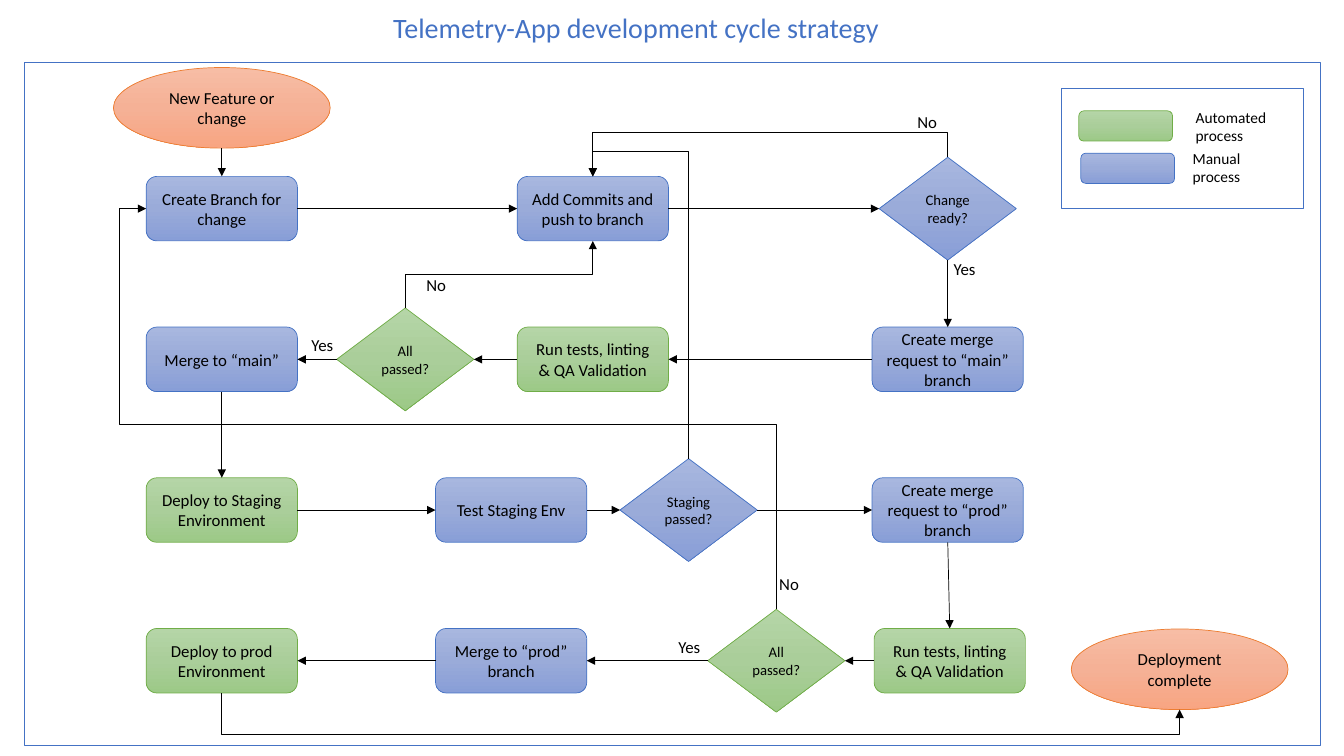
from copy import deepcopy
from dataclasses import dataclass

from lxml.etree import SubElement
from pptx import Presentation
from pptx.dml.color import RGBColor
from pptx.enum.shapes import MSO_CONNECTOR as LINK, MSO_SHAPE as SHAPE
from pptx.enum.text import MSO_ANCHOR as ANCHOR, MSO_AUTO_SIZE as AUTO, PP_ALIGN as ALIGN
from pptx.oxml.ns import qn
from pptx.util import Inches, Pt


@dataclass(frozen=True)
class Theme:
    """Font, colours and type sizes of the slide."""
    font: str = "Calibri"
    ink: str = "000000"
    accent: str = "4472C4"
    title: float = 20
    body: float = 12
    legend: float = 11
    decision: float = 10.5
    hairline: float = 0.5
    border: float = 0.75


THEME = Theme()
# Gradient from top to bottom, then outline
PALETTES = {
    "manual": (("A8B7DF", "9AABD9", "889ED7"), "4472C4"),
    "auto": (("B5D5A7", "AACE9A", "9CC987"), "70AD47"),
    "end": (("F7BDA5", "F5B196", "F8A582"), "ED7D31"),
}
# Kind: preset, width, height, type size
KINDS = {
    "step": (SHAPE.FLOWCHART_ALTERNATE_PROCESS, 1.5, 0.64, THEME.body),
    "decision": (SHAPE.DIAMOND, 1.36, 1.02, THEME.decision),
    "terminal": (SHAPE.OVAL, 2.15, 0.8, THEME.body),
}
SIDES = {"top": 0, "left": 1, "bottom": 2, "right": 3}

TITLE = "Telemetry-App development cycle strategy"
ROW_1, ROW_2, ROW_3, ROW_4 = (2.07 + 1.495 * row for row in range(4))
FIRST, MIDDLE, LAST, STAGING = 2.2, 5.88, 9.4, 5.07

# Key: text, kind, palette, centre x, centre y
NODES = {
    "new": ("New Feature or change", "terminal", "end", FIRST, 1.07),
    "branch": ("Create Branch for change", "step", "manual", FIRST, ROW_1),
    "commit": ("Add Commits and push to branch", "step", "manual", MIDDLE, ROW_1),
    "ready": ("Change ready?", "decision", "manual", LAST, ROW_1),
    "request_main": ("Create merge request to “main” branch", "step", "manual", LAST, ROW_2),
    "test_main": ("Run tests, linting & QA Validation", "step", "auto", MIDDLE, ROW_2),
    "passed_main": ("All passed?", "decision", "auto", 4.02, ROW_2),
    "merge_main": ("Merge to “main”", "step", "manual", FIRST, ROW_2),
    "deploy_staging": ("Deploy to Staging Environment", "step", "auto", FIRST, ROW_3),
    "test_staging": ("Test Staging Env", "step", "manual", STAGING, ROW_3),
    "passed_staging": ("Staging passed?", "decision", "manual", 6.83, ROW_3),
    "request_prod": ("Create merge request to “prod” branch", "step", "manual", LAST, ROW_3),
    "test_prod": ("Run tests, linting & QA Validation", "step", "auto", 9.42, ROW_4),
    "passed_prod": ("All passed?", "decision", "auto", 7.7, ROW_4),
    "merge_prod": ("Merge to “prod” branch", "step", "manual", STAGING, ROW_4),
    "deploy_prod": ("Deploy to prod Environment", "step", "auto", FIRST, ROW_4),
    "done": ("Deployment complete", "terminal", "end", 11.7, 6.64),
}
STRAIGHT_LINKS = [
    ("new", "bottom", "branch", "top"),
    ("branch", "right", "commit", "left"),
    ("commit", "right", "ready", "left"),
    ("ready", "bottom", "request_main", "top"),
    ("request_main", "left", "test_main", "right"),
    ("test_main", "left", "passed_main", "right"),
    ("passed_main", "left", "merge_main", "right"),
    ("merge_main", "bottom", "deploy_staging", "top"),
    ("deploy_staging", "right", "test_staging", "left"),
    ("test_staging", "right", "passed_staging", "left"),
    ("passed_staging", "right", "request_prod", "left"),
    ("request_prod", "bottom", "test_prod", "top"),
    ("test_prod", "left", "passed_prod", "right"),
    ("passed_prod", "left", "merge_prod", "right"),
    ("merge_prod", "left", "deploy_prod", "right"),
]
# The last item lists the lane y and, for a second turn, the lane x
BENT_LINKS = [
    ("ready", "top", "commit", "top", (1.31,)),
    ("passed_main", "top", "commit", "bottom", (2.72,)),
    ("passed_staging", "top", "commit", "top", (1.5,)),
    ("passed_prod", "top", "branch", "left", (4.21, 1.19)),
    ("deploy_prod", "bottom", "done", "bottom", (7.29,)),
]
ANSWERS = [
    ("No", 9.0, 1.06), ("Yes", 9.36, 2.52), ("No", 4.13, 2.68),
    ("Yes", 2.99, 3.27), ("No", 7.63, 5.64), ("Yes", 6.63, 6.27),
]
# Palette, swatch left and top, text, text left and top
LEGEND = [
    ("auto", 10.7, 1.1, "Automated process", 11.76, 1.02),
    ("manual", 10.72, 1.52, "Manual process", 11.73, 1.43),
]


def write(shape, text, size, color=THEME.ink, align=ALIGN.LEFT, anchor=ANCHOR.TOP):
    """Put one formatted paragraph in a shape."""
    frame = shape.text_frame
    frame.text, frame.word_wrap = text, True
    frame.auto_size, frame.vertical_anchor = AUTO.NONE, anchor
    paragraph = frame.paragraphs[0]
    paragraph.alignment = align
    font = paragraph.font
    font.name, font.size = THEME.font, Pt(size)
    font.color.rgb = RGBColor.from_string(color)


def add_label(shapes, text, box, size):
    """Add a left-aligned text box."""
    write(shapes.add_textbox(*map(Inches, box)), text, size)


def add_outline(shapes, box):
    """Add an unfilled frame."""
    outline = shapes.add_shape(SHAPE.RECTANGLE, *map(Inches, box))
    outline.shadow.inherit = False
    outline.fill.background()
    outline.line.color.rgb = RGBColor.from_string(THEME.accent)
    outline.line.width = Pt(THEME.border)


def add_tinted(shapes, preset, box, palette):
    """Add a shape with a vertical three-stop gradient."""
    tints, edge = PALETTES[palette]
    shape = shapes.add_shape(preset, *map(Inches, box))
    shape.shadow.inherit = False
    shape.fill.gradient()
    shape.fill.gradient_angle = 270
    stop_list = shape._element.spPr.find(".//" + qn("a:gsLst"))
    stop_list.insert(1, deepcopy(stop_list[0]))
    for stop, tint, position in zip(shape.fill.gradient_stops, tints, (0, 0.5, 1)):
        stop.color.rgb = RGBColor.from_string(tint)
        stop.position = position
    shape.line.color.rgb = RGBColor.from_string(edge)
    shape.line.width = Pt(THEME.hairline)
    return shape


def add_node(shapes, text, kind, palette, x, y):
    """Add a flowchart node around its centre."""
    preset, width, height, size = KINDS[kind]
    node = add_tinted(shapes, preset, (x - width / 2, y - height / 2, width, height), palette)
    write(node, text, size, align=ALIGN.CENTER, anchor=ANCHOR.MIDDLE)
    return node


def add_link(shapes, nodes, source, source_side, target, target_side, lanes=()):
    """Glue an arrow between two nodes, bent along the lanes if there are any."""
    link = shapes.add_connector(LINK.ELBOW if lanes else LINK.STRAIGHT, 0, 0, 0, 0)
    link.begin_connect(nodes[source], SIDES[source_side])
    link.end_connect(nodes[target], SIDES[target_side])
    glue = link._element.nvCxnSpPr.cNvCxnSpPr
    for end, key, side in ((glue.stCxn, source, source_side), (glue.endCxn, target, target_side)):
        if NODES[key][1] == "terminal":  # an ellipse has eight sites
            end.set("idx", str(2 * SIDES[side]))
    link.line.color.rgb = RGBColor.from_string(THEME.ink)
    link.line.width = Pt(THEME.hairline)
    properties = link._element.spPr
    SubElement(properties.find(qn("a:ln")), qn("a:tailEnd"), type="triangle")
    SubElement(properties, qn("a:effectLst"))
    if lanes:
        bend(link, lanes)


def bend(link, lanes):
    """Turn an elbow so that it leaves vertically and follows its lanes."""
    start, finish = (link.begin_y, link.begin_x), (link.end_y, link.end_x)
    down, across = (b - a for a, b in zip(start, finish))
    width, height = abs(down), abs(across)
    link.left = (start[1] + finish[1] - width) // 2
    link.top = (start[0] + finish[0] - height) // 2
    link.width, link.height = width, height
    properties = link._element.spPr
    frame = properties.find(qn("a:xfrm"))
    frame.set("rot", str(90 * 60000))
    frame.set("flipH", str(int(down < 0)))
    frame.set("flipV", str(int(across > 0)))
    geometry = properties.find(qn("a:prstGeom"))
    geometry.set("prst", f"bentConnector{len(lanes) + 2}")
    guides = geometry.find(qn("a:avLst"))
    for number, (lane, a, b) in enumerate(zip(lanes, start, finish), 1):
        share = round((Inches(lane) - a) / (b - a) * 100000)
        SubElement(guides, qn("a:gd"), name=f"adj{number}", fmla=f"val {share}")


deck = Presentation()
deck.slide_width, deck.slide_height = Inches(13.33), Inches(7.5)
slide = deck.slides.add_slide(deck.slide_layouts[5])
shapes = slide.shapes

title = shapes.title
title.left, title.top, title.width, title.height = map(Inches, (3.8, 0.05, 5.66, 0.44))
write(title, TITLE, THEME.title, THEME.accent)

add_outline(shapes, (0.24, 0.62, 12.86, 6.78))
nodes = {key: add_node(shapes, *node) for key, node in NODES.items()}
for link in STRAIGHT_LINKS + BENT_LINKS:
    add_link(shapes, nodes, *link)
for answer, x, y in ANSWERS:
    add_label(shapes, answer, (x, y, 0.58, 0.3), THEME.body)

legend = shapes.add_group_shape().shapes
for palette, x, y, text, text_x, text_y in LEGEND:
    add_tinted(legend, SHAPE.FLOWCHART_ALTERNATE_PROCESS, (x, y, 0.93, 0.3), palette)
    add_label(legend, text, (text_x, text_y, 1.08, 0.47), THEME.legend)
add_outline(legend, (10.53, 0.88, 2.4, 1.19))

deck.save("out.pptx")
